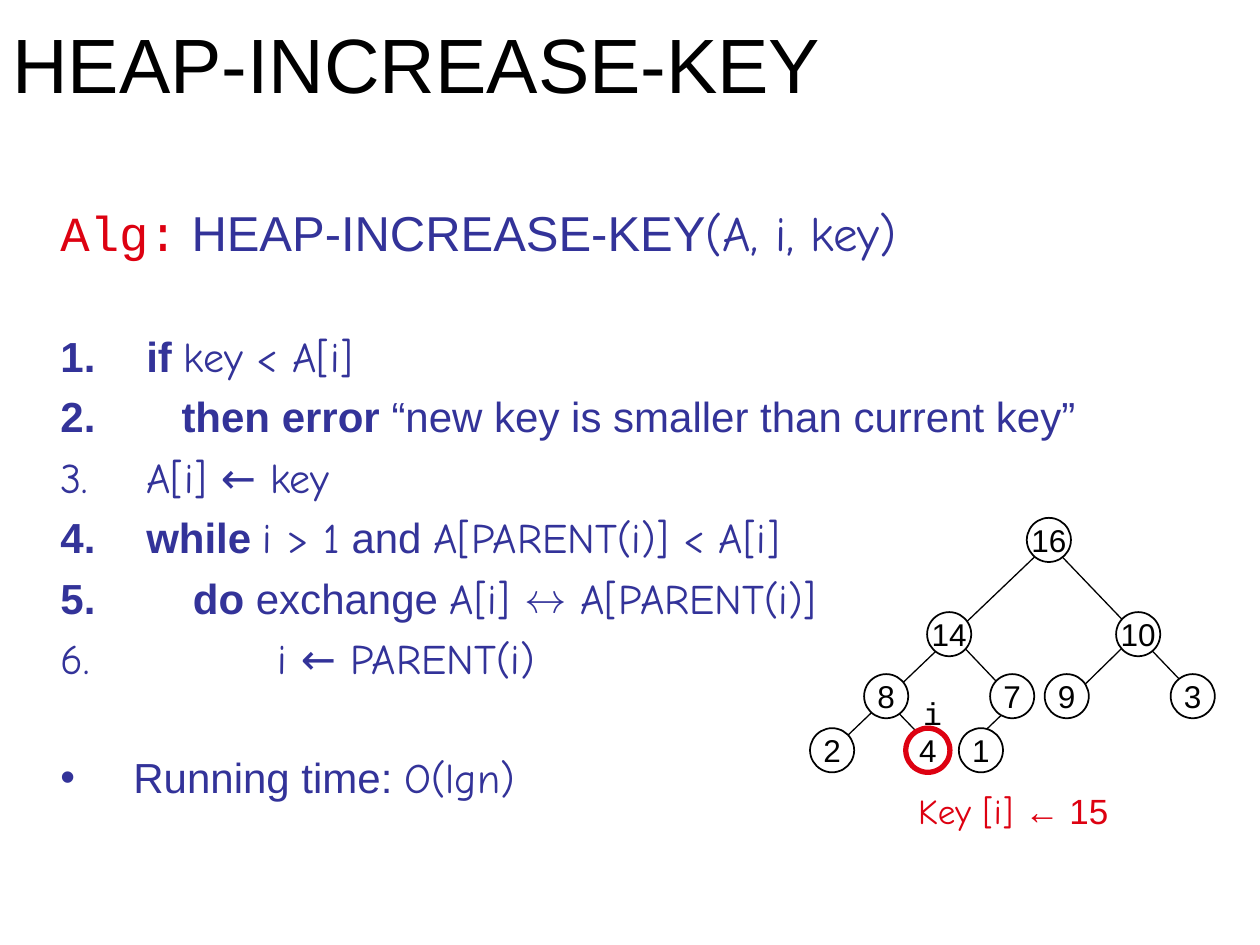
from dataclasses import dataclass
from typing import Any

import lxml.etree
import pptx
import pptx.dml.color
import pptx.enum.shapes
import pptx.enum.text
import pptx.oxml.ns
import pptx.util

Cm = pptx.util.Cm
Pt = pptx.util.Pt
qn = pptx.oxml.ns.qn
RGBColor = pptx.dml.color.RGBColor
ALIGN = pptx.enum.text.PP_ALIGN
ANCHOR = pptx.enum.text.MSO_ANCHOR

BLACK = RGBColor(0x00, 0x00, 0x00)
WHITE = RGBColor(0xFF, 0xFF, 0xFF)
RED = RGBColor(0xDD, 0x01, 0x11)
BLUE = RGBColor(0x33, 0x33, 0x99)

SANS, HAND, MONO = "Arial", "Comic Neue", "Courier New"
NODE_SIZE = 0.89
LEVEL_TOPS = (10.44, 12.34, 13.59, 14.68)
LINE_GAP, BLOCK_GAP = 5.8, 39.2
NUMBER = ("buAutoNum", {"type": "arabicPeriod"})
BULLET = ("buChar", {"char": "•"})


@dataclass
class Run:
    text: str
    font: str = SANS
    size: float = 24
    color: RGBColor = BLUE
    bold: bool = False


@dataclass
class Step:
    runs: list[Run]
    indent: float
    marker: tuple[str, dict[str, str]] | None = NUMBER
    gap: float = LINE_GAP


@dataclass
class Node:
    key: int
    level: int
    left: float
    color: RGBColor = BLACK
    width: float = 1


@dataclass
class Edge:
    x1: float
    y1: float
    x2: float
    y2: float


TITLE = Run("HEAP-INCREASE-KEY", size=44, color=BLACK)

STEPS = [
    Step([Run("Alg:", MONO, 28, RED), Run(" HEAP-INCREASE-KEY", size=28),
          Run("(A, i, key)", HAND, 28)], 1.47, None, 0),
    Step([Run("if ", bold=True), Run("key < A[i]", HAND)], 1.73, gap=BLOCK_GAP),
    Step([Run("then error ", bold=True),
          Run("“new key is smaller than current key”")], 2.44),
    Step([Run("A[i] ← key", HAND)], 1.73),
    Step([Run("while ", bold=True), Run("i > 1", HAND), Run(" and "),
          Run("A[PARENT(i)] < A[i]", HAND)], 1.73),
    Step([Run("do ", bold=True), Run("exchange "),
          Run("A[i] ↔ A[PARENT(i)]", HAND)], 2.67),
    Step([Run("i ← PARENT(i)", HAND)], 4.37),
    Step([Run("Running time: "), Run("O(lgn)", HAND)], 1.47, BULLET, BLOCK_GAP),
]

EDGES = [
    Edge(19.46, 15.11, 20.6, 14.02),
    Edge(21.54, 14.12, 22.94, 12.75),
    Edge(18.95, 15.24, 17.58, 13.82),
    Edge(20.45, 14.12, 19.1, 12.7),
    Edge(24.28, 14.22, 20.88, 10.67),
    Edge(16.79, 15.11, 21.23, 10.87),
]

NODES = [
    Node(16, 0, 20.7),
    Node(14, 1, 18.69), Node(10, 1, 22.5),
    Node(8, 2, 17.42), Node(7, 2, 19.96), Node(9, 2, 21.06), Node(3, 2, 23.6),
    Node(2, 3, 16.33), Node(4, 3, 18.26, RED, 3), Node(1, 3, 19.33),
]


def apply(obj: Any, formats: dict[str, Any]) -> None:
    for name, value in formats.items():
        setattr(obj, name, value)


def add_runs(p: Any, runs: list[Run]) -> None:
    for run in runs:
        r = p.add_run()
        r.text = run.text
        apply(r.font, {"name": run.font, "size": Pt(run.size), "bold": run.bold})
        r.font.color.rgb = run.color


def add_text(s: Any, box: tuple[float, ...], runs: list[Run], **formats: Any) -> Any:
    tf = s.shapes.add_textbox(*map(Cm, box)).text_frame
    apply(tf, {"word_wrap": True, **formats})
    add_runs(tf.paragraphs[0], runs)
    return tf


def add_step(p: Any, step: Step) -> None:
    pPr = p._p.get_or_add_pPr()
    indent = Cm(step.indent)
    pPr.set("marL", str(indent))
    pPr.set("indent", str(-indent))
    if step.marker:
        tag, attributes = step.marker
        lxml.etree.SubElement(pPr, qn("a:buFont"), typeface=SANS)
        lxml.etree.SubElement(pPr, qn(f"a:{tag}"), attributes)
    p.space_before = Pt(step.gap)
    add_runs(p, step.runs)


def add_edge(s: Any, edge: Edge) -> None:
    ends = map(Cm, (edge.x1, edge.y1, edge.x2, edge.y2))
    sp = s.shapes.add_connector(pptx.enum.shapes.MSO_CONNECTOR.STRAIGHT, *ends)
    sp.line.color.rgb = BLACK
    sp.line.width = Pt(0.75)
    lxml.etree.SubElement(sp._element.spPr, qn("a:effectLst"))


def add_node(s: Any, node: Node) -> None:
    box = (node.left, LEVEL_TOPS[node.level], NODE_SIZE, NODE_SIZE)
    sp = s.shapes.add_shape(pptx.enum.shapes.MSO_SHAPE.OVAL, *map(Cm, box))
    sp.shadow.inherit = False
    sp.fill.solid()
    sp.fill.fore_color.rgb = WHITE
    sp.line.color.rgb = node.color
    sp.line.width = Pt(node.width)
    tf = sp.text_frame
    apply(tf, {"word_wrap": False, "vertical_anchor": ANCHOR.MIDDLE,
               "margin_left": 0, "margin_right": 0,
               "margin_top": 0, "margin_bottom": 0})
    p = tf.paragraphs[0]
    p.alignment = ALIGN.CENTER
    add_runs(p, [Run(str(node.key), size=18, color=BLACK)])


def main() -> None:
    prs = pptx.Presentation()
    apply(prs, {"slide_width": Cm(25.4), "slide_height": Cm(19.05)})
    s = prs.slides.add_slide(prs.slide_layouts[6])

    add_text(s, (0, 0, 22.86, 2.51), [TITLE], vertical_anchor=ANCHOR.MIDDLE)
    tf = add_text(s, (0.97, 3.96, 22.94, 13.11), [])
    for i, step in enumerate(STEPS):
        add_step(tf.add_paragraph() if i else tf.paragraphs[0], step)

    for edge in EDGES:
        add_edge(s, edge)
    for node in NODES:
        add_node(s, node)
    add_text(s, (18.36, 13.87, 0.66, 1.02), [Run("i", MONO, 18, BLACK)],
             word_wrap=False)
    add_text(s, (18.26, 15.8, 4.52, 1.09),
             [Run("Key [i] ", HAND, 20, RED), Run("← 15", size=20, color=RED)],
             word_wrap=False)
    prs.save("out.pptx")


if __name__ == "__main__":
    main()
